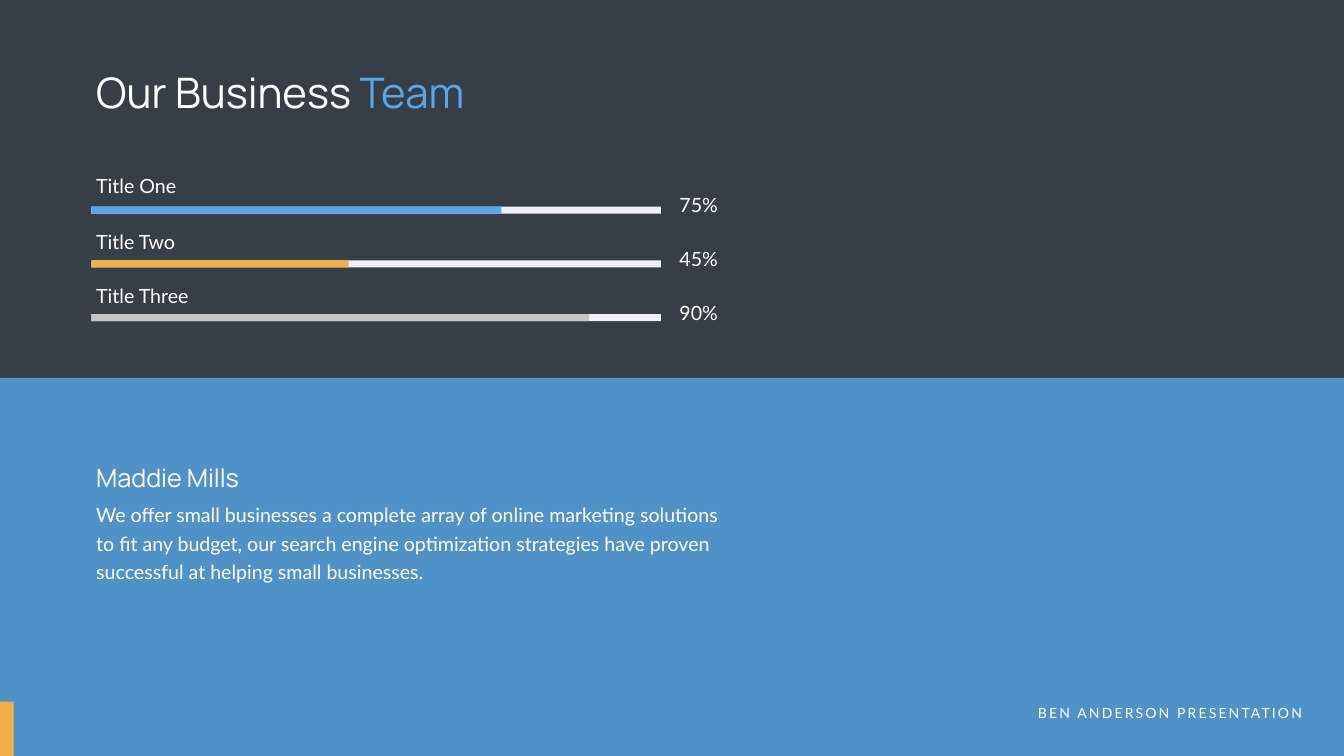
from lxml import etree
from pptx import Presentation
from pptx.dml.color import RGBColor
from pptx.enum.shapes import MSO_SHAPE as Preset
from pptx.enum.text import MSO_AUTO_SIZE as AutoSize, PP_ALIGN as Align
from pptx.oxml.ns import qn
from pptx.util import Cm, Pt

COLORS = {
    "slate": "363E48",
    "blue": "57A7E9",
    "amber": "F3AF47",
    "gray": "C7C4C7",
    "track": "EFF1F8",
    "white": "FFFFFF",
}

deck = Presentation()
deck.slide_width, deck.slide_height = Cm(67.72), Cm(38.1)
page = deck.slides.add_slide(deck.slide_layouts[6])
page.background.fill.solid()
page.background.fill.fore_color.rgb = RGBColor.from_string(COLORS["slate"])


def add_block(left, top, width, height, color):
    block = page.shapes.add_shape(Preset.RECTANGLE, Cm(left), Cm(top), Cm(width), Cm(height))
    block.shadow.inherit = False
    block.fill.solid()
    block.fill.fore_color.rgb = RGBColor.from_string(COLORS[color])
    block.line.fill.background()
    return block


def add_text(left, top, width, height, runs, size, font="Lato", align=Align.LEFT, wrap=True):
    box = page.shapes.add_textbox(Cm(left), Cm(top), Cm(width), Cm(height))
    box.text_frame.word_wrap = wrap
    box.text_frame.auto_size = AutoSize.SHAPE_TO_FIT_TEXT
    para = box.text_frame.paragraphs[0]
    para.alignment = align
    for text, color in runs:
        span = para.add_run()
        span.text = text
        span.font.name = font
        span.font.size = Pt(size)
        span.font.color.rgb = RGBColor.from_string(COLORS[color])
    return para


panel = add_block(0, 19.05, 67.72, 19.05, "blue")
panel_color = panel.fill._xPr.find(qn("a:solidFill"))[0]
etree.SubElement(panel_color, qn("a:alpha")).set("val", "80000")

add_text(4.6, 3.25, 22.81, 2.82, [("Our Business ", "white"), ("Team", "blue")], 60, "Manrope")

footer = add_text(51, 35.36, 14.86, 1.12, [("BEN ANDERSON PRESENTATION", "white")], 20, align=Align.RIGHT)
footer.runs[0].font._element.set("spc", "300")
add_block(0, 35.36, 0.69, 2.74, "amber")

bio = add_text(4.6, 24.97, 32.28, 4.5, [(
    "We offer small businesses a complete array of online marketing solutions "
    "to fit any budget, our search engine optimization strategies have proven "
    "successful at helping small businesses.", "white")], 28)
bio.line_spacing = Pt(40.8)
add_text(4.6, 23.16, 8.74, 1.8, [("Maddie Mills", "white")], 36, "Manrope", wrap=False)

skills = [
    ("Title One", "75%", 8.64, 20.65, "blue"),
    ("Title Two", "45%", 11.46, 12.95, "amber"),
    ("Title Three", "90%", 14.17, 25.07, "gray"),
]
for index, (title, percent, title_top, filled, color) in enumerate(skills):
    offset = 2.71 * index
    add_block(4.6, 10.41 + offset, 28.7, 0.36, "track")
    add_block(4.62, 10.41 + offset, filled, 0.36, color)
    add_text(4.6, title_top, 6.86, 1.45, [(title, "white")], 28)
    add_text(33.73, 9.6 + offset, 2.69, 1.45, [(percent, "white")], 28, align=Align.RIGHT)

deck.save("out.pptx")
